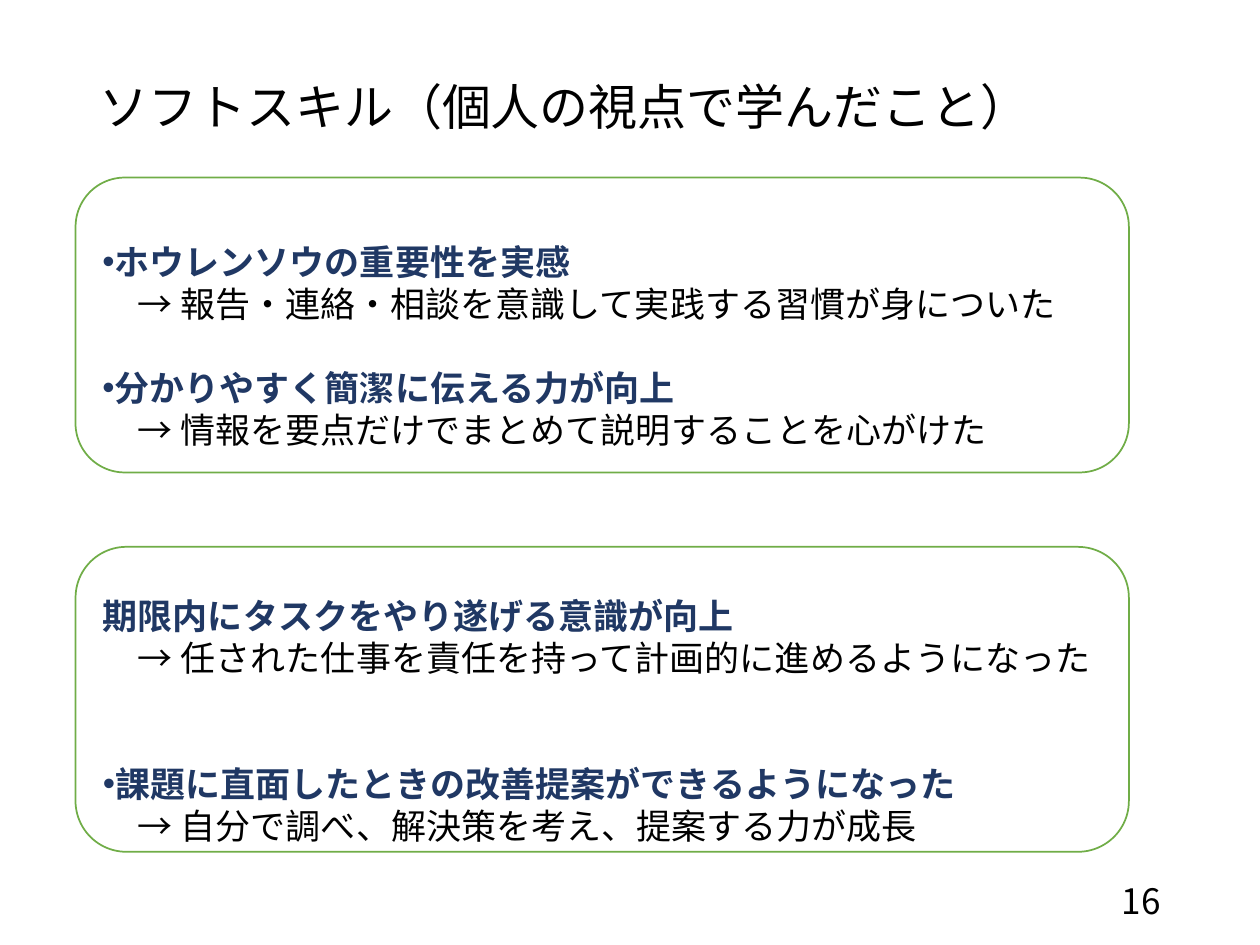
from lxml.etree import SubElement
from pptx import Presentation
from pptx.dml.color import RGBColor
from pptx.enum.shapes import MSO_SHAPE as Shape
from pptx.enum.text import MSO_ANCHOR as Anchor, PP_ALIGN as Align
from pptx.oxml.ns import qn
from pptx.util import Inches, Pt

FONT = "Noto Sans CJK JP"
BLACK = RGBColor(0x00, 0x00, 0x00)
WHITE = RGBColor(0xFF, 0xFF, 0xFF)
NAVY = RGBColor(0x20, 0x38, 0x64)
GREEN = RGBColor(0x70, 0xAD, 0x47)

LINE_HEIGHT = Pt(24)
PANELS = [
    (1.41, 2.34, 24, [
        (True, "ホウレンソウの重要性を実感",
         "　→ 報告・連絡・相談を意識して実践する習慣が身についた"),
        (True, "分かりやすく簡潔に伝える力が向上",
         "　→ 情報を要点だけでまとめて説明することを心がけた"),
    ]),
    (4.34, 2.42, 48, [
        (False, "期限内にタスクをやり遂げる意識が向上",
         "　→ 任された仕事を責任を持って計画的に進めるようになった"),
        (True, "課題に直面したときの改善提案ができるようになった",
         "　→ 自分で調べ、解決策を考え、提案する力が成長"),
    ]),
]


def add_span(para, text, size, color=BLACK, bold=False):
    """Add one formatted run to a paragraph."""
    span = para.add_run()
    span.text = text
    font = span.font
    font.name, font.size, font.bold = FONT, Pt(size), bold
    font.color.rgb = color
    SubElement(font._element, qn("a:ea"), typeface=FONT)


def add_bullet(para):
    """Put a round bullet directly before the paragraph."""
    props = para._p.get_or_add_pPr()
    props.set("marL", "0")
    props.set("indent", "0")
    SubElement(props, qn("a:buFont"), typeface="Arial")
    SubElement(props, qn("a:buChar"), char="•")


def set_title(page, text):
    """Place and format the slide title."""
    title = page.shapes.title
    title.left, title.top = Inches(0.69), Inches(0.4)
    title.width, title.height = Inches(8.62), Inches(1.45)
    frame = title.text_frame
    frame.vertical_anchor = Anchor.MIDDLE
    frame.margin_bottom = Inches(0.56)
    para = frame.paragraphs[0]
    para.alignment = Align.LEFT
    para.line_spacing = 0.9
    add_span(para, text, 28)


def add_panel(page, top, height, gap, skills):
    """Add a rounded panel that lists skills and their results."""
    panel = page.shapes.add_shape(
        Shape.ROUNDED_RECTANGLE, Inches(0.6), Inches(top), Inches(8.36), Inches(height))
    panel.shadow.inherit = False
    panel.fill.solid()
    panel.fill.fore_color.rgb = WHITE
    panel.line.color.rgb = GREEN
    panel.line.width = Pt(1)
    frame = panel.text_frame
    frame.word_wrap = True
    frame.vertical_anchor = Anchor.MIDDLE
    frame.margin_top, frame.margin_bottom = Inches(0.38), Inches(0.05)
    for index, (bulleted, skill, result) in enumerate(skills):
        para = frame.add_paragraph() if index else frame.paragraphs[0]
        para.alignment = Align.LEFT
        para.line_spacing = LINE_HEIGHT
        if index:
            para.space_before = Pt(gap)
        if bulleted:
            add_bullet(para)
        add_span(para, skill, 20, NAVY, True)
        para.add_line_break()
        add_span(para, result, 20)


def add_page_number(page, number):
    """Add the page number at the lower right."""
    box = page.shapes.add_textbox(Inches(7.06), Inches(6.95), Inches(2.25), Inches(0.4))
    frame = box.text_frame
    frame.word_wrap = True
    frame.vertical_anchor = Anchor.MIDDLE
    para = frame.paragraphs[0]
    para.alignment = Align.RIGHT
    add_span(para, number, 20)


def main():
    """Build the soft skills slide."""
    deck = Presentation()
    deck.slide_width, deck.slide_height = Inches(10), Inches(7.5)
    page = deck.slides.add_slide(deck.slide_layouts[5])
    set_title(page, "ソフトスキル（個人の視点で学んだこと）")
    add_page_number(page, "16")
    for panel in PANELS:
        add_panel(page, *panel)
    deck.save("out.pptx")


if __name__ == "__main__":
    main()
